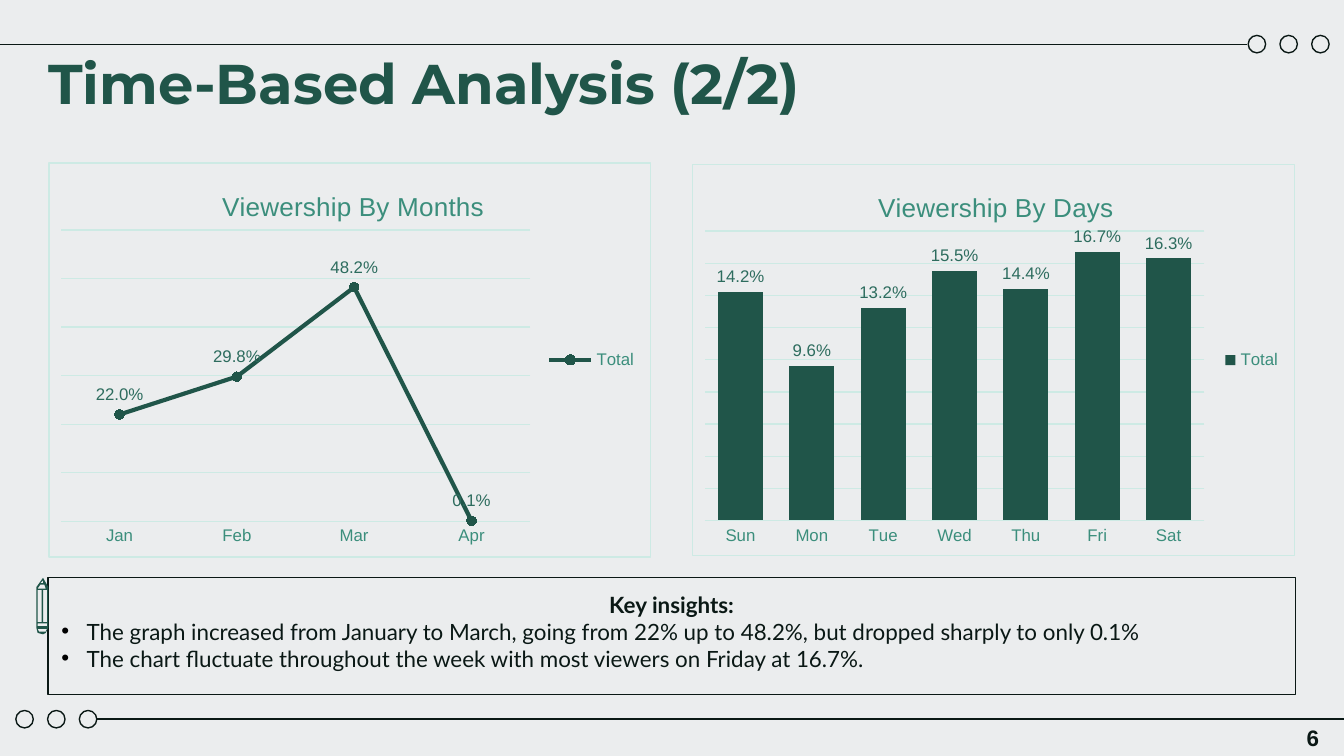
import pptx
import pptx.chart.data
import pptx.dml.color
import pptx.enum.chart
import pptx.enum.shapes
import pptx.enum.text
import pptx.oxml
import pptx.oxml.ns
import pptx.util
from pptx.util import Cm, Pt

COLORS = {
    "background": "EBEDEE",
    "ink": "0A1815",
    "green": "205549",
    "label": "2D6C5E",
    "axis": "3B8E7C",
    "grid": "CDEAE4",
    "bullet": "000000",
}
NS = pptx.oxml.ns.nsdecls("a", "c")
PENCIL = [
    [(31.5, 430), (36, 437), (36, 467), (34.5, 471), (31.5, 472), (28.5, 471), (27, 467), (27, 437)],
    [(31.5, 432), (32.5, 434), (30.5, 434)],
    [(30, 435), (33, 435), (34.5, 438), (28, 438)],
    [(28, 439), (31, 439), (31, 463), (28, 463)],
    [(32, 439), (35, 439), (35, 463), (32, 463)],
    [(28, 464), (35, 464), (35, 466), (28, 466)],
    [(28, 468), (35, 468), (34, 469.5), (31.5, 470), (29, 469.5)],
]


def rgb(name):
    return pptx.dml.color.RGBColor.from_string(COLORS[name])


def style_font(font, size, color, family="Arial", bold=False):
    font.size = Pt(size)
    font.name = family
    font.bold = bold
    font.color.rgb = rgb(color)


def paint(target, name):
    target.fill.solid()
    target.fill.fore_color.rgb = rgb(name)


def draw_line(line, name, width=0.75):
    line.color.rgb = rgb(name)
    line.width = Pt(width)


def set_insets(frame, inset=0.25):
    frame.margin_left = frame.margin_right = Cm(inset)
    frame.margin_top = frame.margin_bottom = Cm(inset)
    frame.word_wrap = True


def add_run(paragraph, text, *font):
    run = paragraph.add_run()
    run.text = text
    style_font(run.font, *font)


def add_outline(slide, kind, left, top, width, height):
    shape = slide.shapes.add_shape(kind, Cm(left), Cm(top), Cm(width), Cm(height))
    shape.shadow.inherit = False
    shape.fill.background()
    draw_line(shape.line, "ink")
    return shape


def add_rule(slide, circles_left, circles_top, start, end, y):
    for i in range(3):
        add_outline(slide, pptx.enum.shapes.MSO_SHAPE.OVAL, circles_left + 0.6 * i, circles_top, 0.33, 0.33)
    rule = slide.shapes.add_connector(
        pptx.enum.shapes.MSO_CONNECTOR.STRAIGHT, Cm(start), Cm(y), Cm(end), Cm(y))
    draw_line(rule.line, "ink")
    rule._element.spPr.append(pptx.oxml.parse_xml(f"<a:effectLst {NS}/>"))


def add_title(slide, text):
    title = slide.shapes.title
    title.left, title.top, title.width, title.height = Cm(0.66), Cm(0.66), Cm(21.44), Cm(1.6)
    frame = title.text_frame
    set_insets(frame)
    frame.vertical_anchor = pptx.enum.text.MSO_ANCHOR.TOP
    paragraph = frame.paragraphs[0]
    paragraph.alignment = pptx.enum.text.PP_ALIGN.LEFT
    add_run(paragraph, text, 30, "green", "Montserrat", True)


def add_insights(slide, heading, insights):
    box = add_outline(slide, pptx.enum.shapes.MSO_SHAPE.RECTANGLE, 0.91, 10.92, 23.57, 2.21)
    frame = box.text_frame
    set_insets(frame)
    frame.vertical_anchor = pptx.enum.text.MSO_ANCHOR.TOP
    frame.paragraphs[0].alignment = pptx.enum.text.PP_ALIGN.CENTER
    add_run(frame.paragraphs[0], heading, 12, "ink", "Lato", True)
    for insight in insights:
        paragraph = frame.add_paragraph()
        paragraph.alignment = pptx.enum.text.PP_ALIGN.LEFT
        properties = paragraph._p.get_or_add_pPr()
        properties.set("marL", str(Cm(0.48)))
        properties.set("indent", str(-Cm(0.48)))
        for bullet in (
            f'<a:buClr {NS}><a:srgbClr val="{COLORS["bullet"]}"/></a:buClr>',
            f'<a:buFont {NS} typeface="Arial"/>',
            f'<a:buChar {NS} char="•"/>',
        ):
            properties.append(pptx.oxml.parse_xml(bullet))
        add_run(paragraph, insight, 12, "ink", "Lato")


def add_pencil(slide):
    builder = None
    for contour in PENCIL:
        if builder is None:
            builder = slide.shapes.build_freeform(*contour[0], scale=Cm(0.0254))
        else:
            builder.move_to(*contour[0])
        builder.add_line_segments(contour[1:], close=True)
    pencil = builder.convert_to_shape()
    pencil.shadow.inherit = False
    paint(pencil, "green")
    pencil.line.fill.background()


def layout_xml(target, **sizes):
    values = "".join(f'<c:{key} val="{value}"/>' for key, value in sizes.items())
    return pptx.oxml.parse_xml(
        f'<c:layout {NS}><c:manualLayout>{target}<c:xMode val="edge"/><c:yMode val="edge"/>'
        f"{values}</c:manualLayout></c:layout>")


def set_layout(parent, layout, before):
    for old in parent.findall(pptx.oxml.ns.qn("c:layout")):
        parent.remove(old)
    parent.find(pptx.oxml.ns.qn(before)).addnext(layout)


def add_viewership_chart(slide, kind, left, top, height, title, shares, maximum, step, title_left, plot_width):
    data = pptx.chart.data.CategoryChartData(number_format="0.0%")
    data.categories = list(shares)
    data.add_series("Total", shares.values())
    chart = slide.shapes.add_chart(kind, Cm(left), Cm(top), Cm(11.4), Cm(height), data).chart
    style_font(chart.font, 10, "ink")
    chart.has_title = True
    add_run(chart.chart_title.text_frame.paragraphs[0], title, 14, "axis")
    set_layout(chart.chart_title._element, layout_xml("", x=title_left, y=0.055), "c:tx")
    chart.has_legend = True
    chart.legend.position = pptx.enum.chart.XL_LEGEND_POSITION.RIGHT
    chart.legend.include_in_layout = False
    style_font(chart.legend.font, 9, "axis")

    days = chart.category_axis
    days.major_tick_mark = pptx.enum.chart.XL_TICK_MARK.NONE
    days.has_major_gridlines = False
    draw_line(days.format.line, "grid")
    style_font(days.tick_labels.font, 9, "axis")
    share_axis = chart.value_axis
    share_axis.visible = False
    share_axis.minimum_scale, share_axis.maximum_scale, share_axis.major_unit = 0, maximum, step
    share_axis.has_major_gridlines = True
    draw_line(share_axis.major_gridlines.format.line, "grid")

    plot = chart.plots[0]
    plot.vary_by_categories = False
    labels = plot.series[0].data_labels
    labels.show_value = True
    labels.number_format, labels.number_format_is_linked = "0.0%", False
    style_font(labels.font, 9, "label")

    plot_area = chart._chartSpace.chart.plotArea
    for old in plot_area.findall(pptx.oxml.ns.qn("c:layout")):
        plot_area.remove(old)
    plot_area.insert(0, layout_xml('<c:layoutTarget val="inner"/>', x=0.02, y=0.17, w=plot_width, h=0.74))
    chart._chartSpace.chart.addnext(pptx.oxml.parse_xml(
        f'<c:spPr {NS}><a:solidFill><a:srgbClr val="{COLORS["background"]}"/></a:solidFill>'
        f'<a:ln w="{Pt(0.75)}"><a:solidFill><a:srgbClr val="{COLORS["grid"]}"/></a:solidFill></a:ln></c:spPr>'))
    return plot


def style_months(plot):
    total = plot.series[0]
    total.smooth = False
    draw_line(total.format.line, "green", 2.25)
    total.marker.style = pptx.enum.chart.XL_MARKER_STYLE.CIRCLE
    total.marker.size = 5
    paint(total.marker.format, "green")
    draw_line(total.marker.format.line, "green")
    total.data_labels.position = pptx.enum.chart.XL_LABEL_POSITION.ABOVE


def style_days(plot):
    plot.gap_width = 59
    paint(plot.series[0].format, "green")
    plot.series[0].data_labels.position = pptx.enum.chart.XL_LABEL_POSITION.OUTSIDE_END


def add_page_number(slide, number):
    frame = slide.shapes.add_textbox(Cm(19.46), Cm(13.61), Cm(5.72), Cm(0.66)).text_frame
    frame.word_wrap = True
    frame.vertical_anchor = pptx.enum.text.MSO_ANCHOR.MIDDLE
    frame.paragraphs[0].alignment = pptx.enum.text.PP_ALIGN.RIGHT
    add_run(frame.paragraphs[0], number, 12, "ink", "Arial", True)


def main():
    deck = pptx.Presentation()
    deck.slide_width, deck.slide_height = Cm(25.4), Cm(14.29)
    slide = deck.slides.add_slide(deck.slide_layouts[5])
    paint(slide.background, "background")
    add_rule(slide, 0.3, 13.43, 1.83, 25.4, 13.59)
    add_rule(slide, 23.59, 0.67, 23.57, 0, 0.84)
    add_title(slide, "Time-Based Analysis (2/2)")
    add_insights(slide, "Key insights:", [
        "The graph increased from January to March, going from 22% up to 48.2%, but dropped sharply to only 0.1%",
        "The chart fluctuate throughout the week with most viewers on Friday at 16.7%.",
    ])
    add_pencil(slide)
    months = {"Jan": 0.22, "Feb": 0.298, "Mar": 0.482, "Apr": 0.001}
    days = {"Sun": 0.142, "Mon": 0.096, "Tue": 0.132, "Wed": 0.155, "Thu": 0.144, "Fri": 0.167, "Sat": 0.163}
    chart_types = pptx.enum.chart.XL_CHART_TYPE
    style_months(add_viewership_chart(
        slide, chart_types.LINE_MARKERS, 0.91, 3.07, 7.47,
        "Viewership By Months", months, 0.6, 0.1, 0.28, 0.78))
    style_days(add_viewership_chart(
        slide, chart_types.COLUMN_CLUSTERED, 13.08, 3.1, 7.42,
        "Viewership By Days", days, 0.18, 0.02, 0.3, 0.83))
    add_page_number(slide, "6")
    deck.save("out.pptx")


if __name__ == "__main__":
    main()
